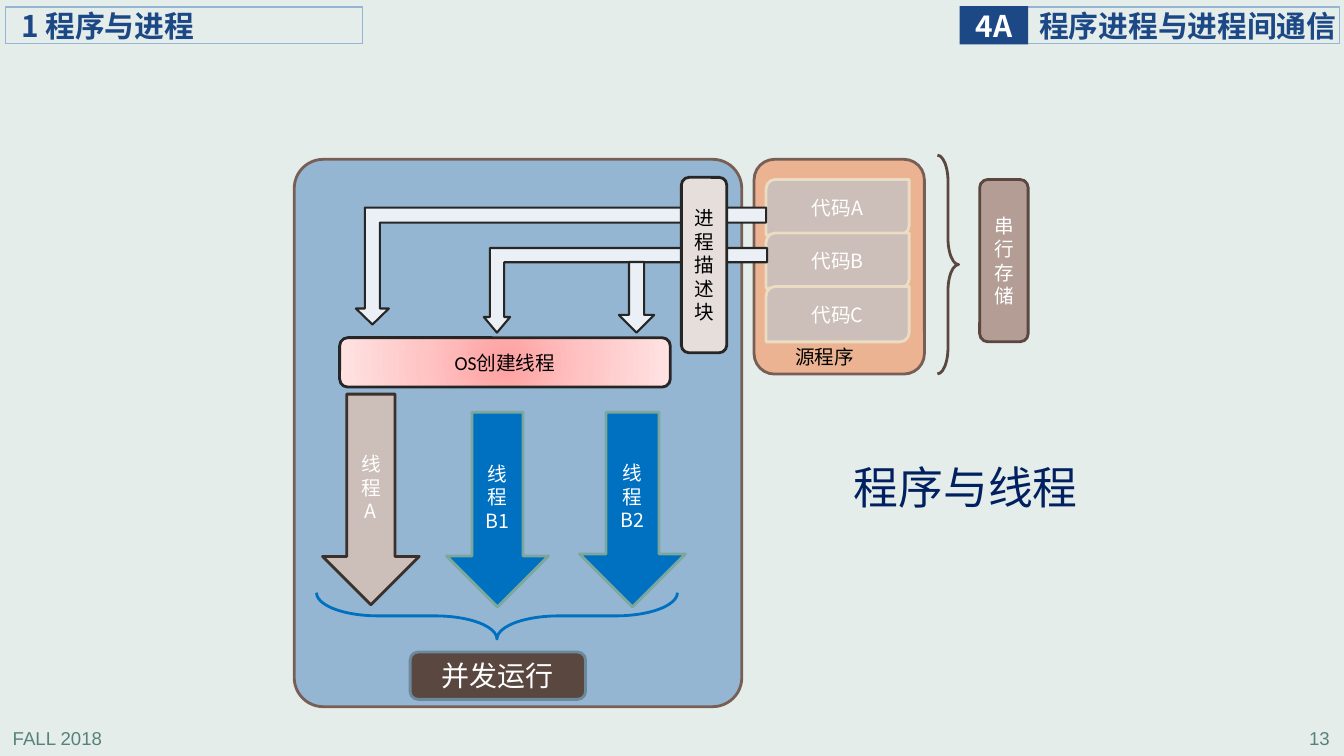
from lxml.etree import SubElement
from pptx import Presentation
from pptx.dml.color import RGBColor
from pptx.enum.shapes import MSO_SHAPE as KIND
from pptx.enum.text import MSO_ANCHOR, PP_ALIGN
from pptx.oxml import parse_xml
from pptx.oxml.ns import nsdecls, qn
from pptx.util import Pt

SANS = "Noto Sans CJK SC"
WHITE = RGBColor(0xFF, 0xFF, 0xFF)
BLACK = RGBColor(0, 0, 0)
MIST = RGBColor(0xE5, 0xED, 0xEB)
SAGE = RGBColor(0x57, 0x82, 0x79)
NAVY = RGBColor(0x1C, 0x48, 0x85)
DEEP = RGBColor(0x00, 0x20, 0x60)
SKY = RGBColor(0x94, 0xB6, 0xD2)
BLUE = RGBColor(0x00, 0x70, 0xC0)
TEAL = RGBColor(0x7B, 0xA7, 0x9D)
STEEL = RGBColor(0x6D, 0x87, 0x9B)
ICE = RGBColor(0xEA, 0xF0, 0xF6)
PEACH = RGBColor(0xEB, 0xB3, 0x91)
CREAM = RGBColor(0xEB, 0xDD, 0xC3)
CLAY = RGBColor(0xCC, 0xBE, 0xB8)
PALE = RGBColor(0xE6, 0xDE, 0xDB)
TAUPE = RGBColor(0xB3, 0x9D, 0x94)
BROWN = RGBColor(0x77, 0x5F, 0x55)
COCOA = RGBColor(0x59, 0x47, 0x40)
DARK = RGBColor(0x3C, 0x30, 0x2A)
INK = RGBColor(0x26, 0x26, 0x26)
ROSE = RGBColor(0xFF, 0xA0, 0xA0)
PINK = RGBColor(0xFF, 0xC5, 0xC5)
BLUSH = RGBColor(0xFF, 0xE3, 0xE3)


def add_text(shape, lines, size, color, bold=False, font=SANS, align=PP_ALIGN.CENTER):
    """Write each line as one paragraph holding one run."""
    frame = shape.text_frame
    for i, line in enumerate(lines.split("\n")):
        para = frame.add_paragraph() if i else frame.paragraphs[0]
        para.alignment = align
        run = para.add_run()
        run.text = line
        run.font.size = Pt(size)
        run.font.bold = bold
        run.font.name = font
        run.font.color.rgb = color
        SubElement(run.font._element, qn("a:ea")).set("typeface", SANS)


def add_box(slide, kind, area, fill, line, width=2, adjust=(), turn=0):
    """Draw a preset shape without a shadow."""
    shape = slide.shapes.add_shape(kind, *map(Pt, area))
    shape.shadow.inherit = False
    shape.rotation = turn
    for i, value in enumerate(adjust):
        shape.adjustments[i] = value
    if fill is None:
        shape.fill.background()
    else:
        shape.fill.solid()
        shape.fill.fore_color.rgb = fill
    if line is None:
        shape.line.fill.background()
    else:
        shape.line.color.rgb = line
        shape.line.width = Pt(width)
    return shape


def add_head(slide, area, text, fill, line, color, left, align):
    """Draw one cell of the page header."""
    shape = add_box(slide, KIND.RECTANGLE, area, fill, line, 0.75)
    frame = shape.text_frame
    frame.margin_left = Pt(left)
    frame.margin_right = frame.margin_top = frame.margin_bottom = 0
    frame.word_wrap = fill is None
    add_text(shape, text, 21.3, color, True, align=align)


def add_note(slide, area, text, size, color, font=SANS, align=PP_ALIGN.LEFT, wrap=True):
    """Place a free text box."""
    shape = slide.shapes.add_textbox(*map(Pt, area))
    shape.text_frame.word_wrap = wrap
    add_text(shape, text, size, color, font=font, align=align)
    return shape


def add_glow(shape, colors):
    """Fill a shape with a gradient that spreads from its centre."""
    stops = "".join(
        f'<a:gs pos="{i * 50000}"><a:srgbClr val="{color}"/></a:gs>'
        for i, color in enumerate(colors))
    glow = parse_xml(
        f'<a:gradFill {nsdecls("a")} rotWithShape="1"><a:gsLst>{stops}</a:gsLst>'
        '<a:path path="circle"><a:fillToRect l="50000" t="50000" r="50000" b="50000"/>'
        '</a:path></a:gradFill>')
    props = shape._element.spPr
    props.replace(props.find(qn("a:solidFill")), glow)


def add_frame(slide):
    """Draw the header and footer."""
    add_note(slide, (2, 515.5, 200, 22), "FALL 2018", 13.3, SAGE, "Arial")
    add_note(slide, (757, 515.5, 200, 22), "13", 13.3, SAGE, "Arial", PP_ALIGN.RIGHT)
    add_head(slide, (733.7, 5, 223.2, 26), "程序进程与进程间通信",
             None, SKY, NAVY, 8.6, PP_ALIGN.LEFT)
    add_head(slide, (685.4, 4.3, 49, 27.4), "4A", NAVY, None, WHITE, 0, PP_ALIGN.CENTER)
    add_head(slide, (3.6, 5, 255.6, 26), "1 程序与进程", None, SKY, NAVY, 11.5, PP_ALIGN.LEFT)


def add_threads(slide):
    """Draw the three threads that run side by side."""
    for area, text, fill, line in (
            ((230.4, 281.5, 69.1, 150.5), "线程A", CLAY, DARK),
            ((319, 294.5, 72.7, 139), "线程\nB1", BLUE, TEAL),
            ((414, 294.5, 75.6, 139), "线程B2", BLUE, TEAL)):
        add_text(add_box(slide, KIND.DOWN_ARROW, area, fill, line), text, 14, WHITE)


def add_source(slide):
    """Draw the source program with its code blocks."""
    add_box(slide, KIND.ROUNDED_RECTANGLE, (538.6, 113.8, 121.7, 153.4),
            PEACH, BROWN, adjust=[0.12])
    for i, name in enumerate("ABC"):
        code = add_box(slide, KIND.ROUND_2_DIAG_RECTANGLE,
                       (547.2, 128.2 + 38.2 * i, 102.2, 39.6), CLAY, CREAM)
        add_text(code, "代码" + name, 14, WHITE)
    add_note(slide, (560.9, 242.6, 69, 29), "源程序", 14, BLACK, wrap=False)


def add_flow(slide):
    """Draw the arrows that lead from code to threads."""
    for kind, area, adjust, turn in (
            (KIND.BENT_UP_ARROW, (254.2, 148.3, 293, 83.5), (0.128, 0.141, 0.137), 180),
            (KIND.BENT_UP_ARROW, (345.6, 177.1, 202.3, 60.5), (0.168, 0.155, 0.185), 180),
            (KIND.DOWN_ARROW, (442.1, 187.2, 25.2, 50.4), (0.427, 0.5), 0)):
        add_box(slide, kind, area, ICE, INK, 1.5, adjust, turn)


def main():
    """Build the slide and save it."""
    deck = Presentation()
    deck.slide_width, deck.slide_height = Pt(960), Pt(540)
    slide = deck.slides.add_slide(deck.slide_layouts[6])
    slide.background.fill.solid()
    slide.background.fill.fore_color.rgb = MIST
    add_frame(slide)
    add_box(slide, KIND.ROUNDED_RECTANGLE, (210.2, 113.8, 319.7, 391),
            SKY, BROWN, adjust=[0.065])
    title = add_note(slide, (604, 327, 191, 46), "程序与线程", 32, DEEP)
    title.text_frame.vertical_anchor = MSO_ANCHOR.MIDDLE
    title.text_frame.margin_left = title.text_frame.margin_right = Pt(5.8)
    title.text_frame.paragraphs[0].line_spacing = 0.9
    add_threads(slide)
    add_source(slide)
    maker = add_box(slide, KIND.ROUNDED_RECTANGLE, (242.6, 241.2, 236.2, 35.3), ROSE, INK)
    add_glow(maker, (ROSE, PINK, BLUSH))
    add_text(maker, "OS创建线程", 14, BLACK, font="Calibri")
    add_box(slide, KIND.LEFT_BRACE, (338.4, 311, 33.1, 257.8), None, BLUE,
            adjust=(1.336, 0.5), turn=270)
    add_box(slide, KIND.RIGHT_BRACE, (669.6, 110.9, 15.1, 156.2), None, COCOA,
            adjust=(1.245, 0.5))
    store = add_box(slide, KIND.ROUNDED_RECTANGLE, (699.8, 128.2, 34.6, 115.9), TAUPE, COCOA)
    add_text(store, "串行存储", 14, WHITE)
    joint = add_box(slide, KIND.FLOWCHART_ALTERNATE_PROCESS,
                    (293, 465.8, 125.3, 33.8), COCOA, STEEL)
    add_text(joint, "并发运行", 20, WHITE)
    add_flow(slide)
    block = add_box(slide, KIND.ROUNDED_RECTANGLE, (486.7, 126.7, 32.4, 125.3), PALE, INK)
    add_text(block, "进程描述块", 14, BLACK)
    deck.save("out.pptx")


if __name__ == "__main__":
    main()
